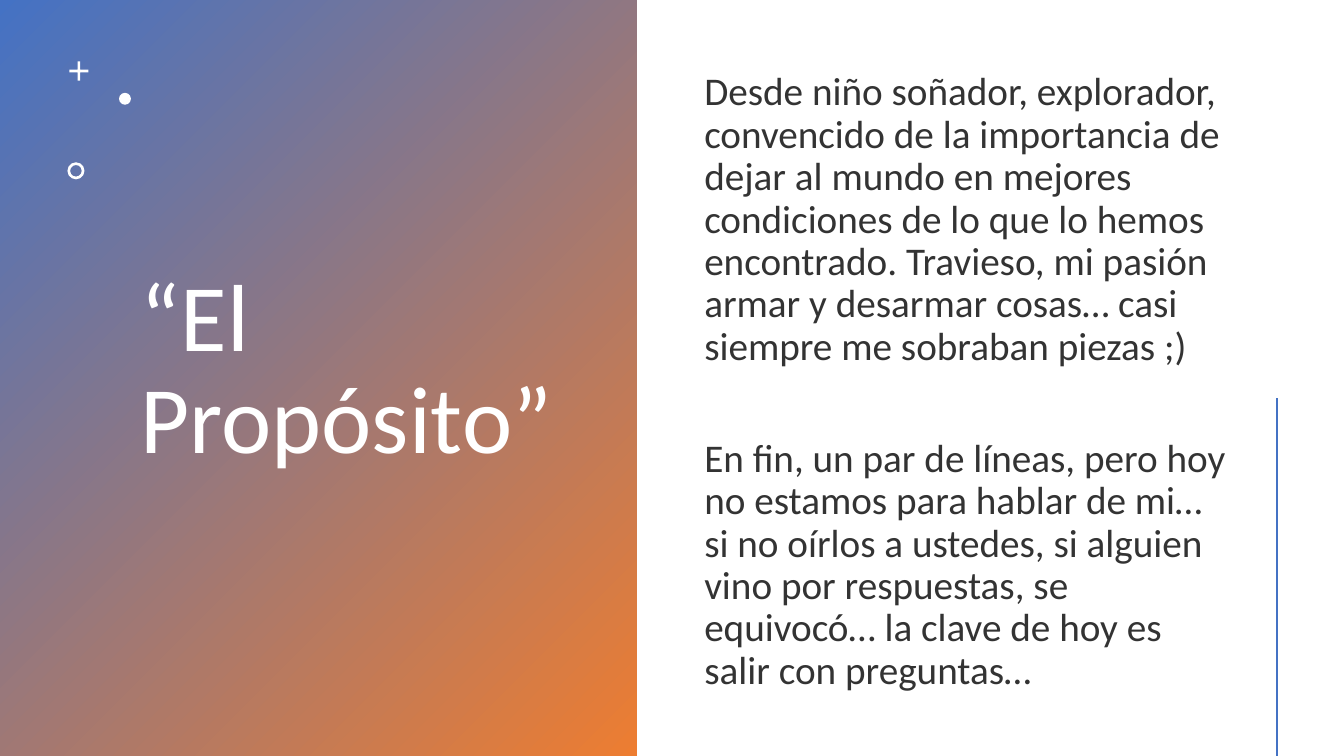
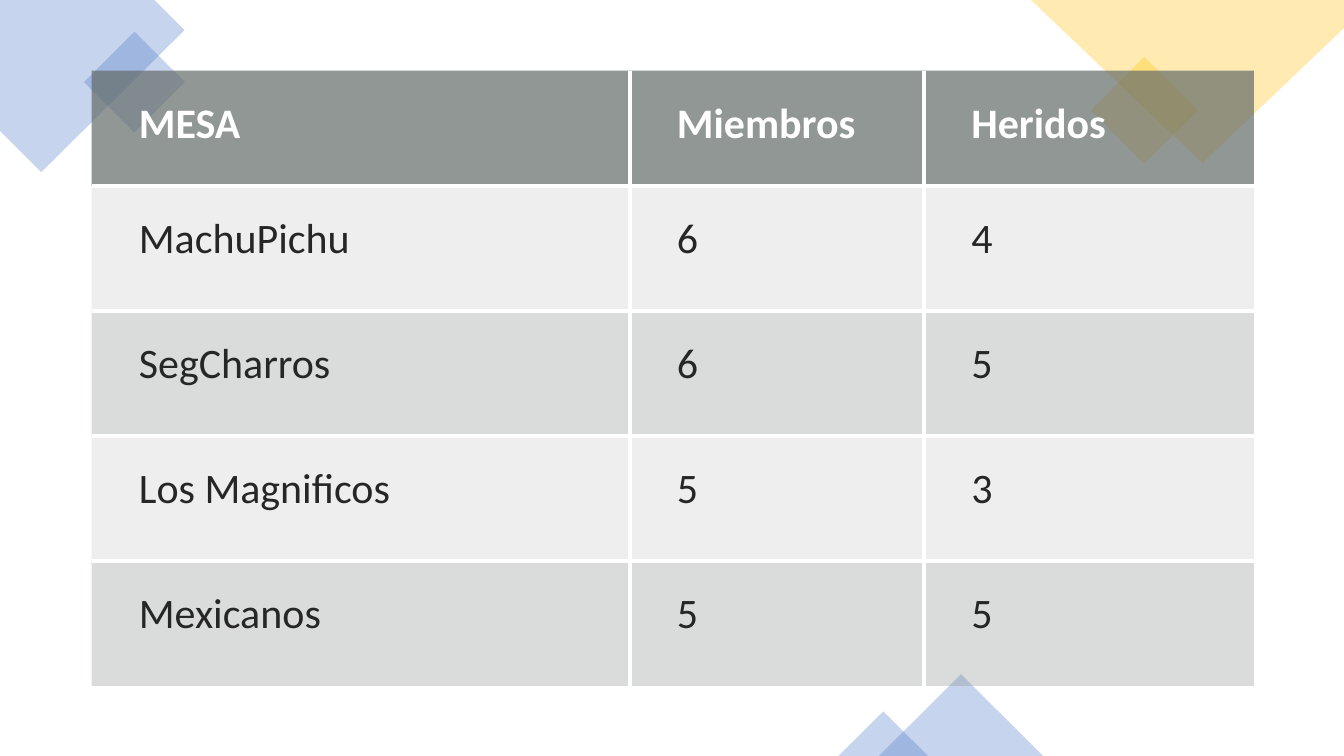
from lxml import etree
from pptx import Presentation
from pptx.dml.color import RGBColor
from pptx.enum.shapes import MSO_CONNECTOR, MSO_SHAPE
from pptx.enum.text import MSO_ANCHOR
from pptx.oxml.ns import qn
from pptx.util import Cm, Pt

RECTANGLE = MSO_SHAPE.RECTANGLE
CROSS = MSO_SHAPE.CROSS
OVAL = MSO_SHAPE.OVAL
DONUT = MSO_SHAPE.DONUT
DIAMOND = MSO_SHAPE.DIAMOND
TRIANGLE = MSO_SHAPE.ISOSCELES_TRIANGLE
STRAIGHT = MSO_CONNECTOR.STRAIGHT
TOP = MSO_ANCHOR.TOP
MIDDLE = MSO_ANCHOR.MIDDLE

FONT = "Calibri"
WHITE, BLUE, ORANGE, YELLOW = "FFFFFF", "4472C4", "ED7D31", "FFC000"
BODY_TEXT, CELL_TEXT = "333333", "262626"
HEADER_FILL, ROW_FILL = "636B68", "878E8B"
PAGE_WIDTH, PAGE_HEIGHT = 33.87, 19.05

TITLE = "“El Propósito”"
BODY = [
    "Desde niño soñador, explorador, convencido de la importancia de dejar al "
    "mundo en mejores condiciones de lo que lo hemos encontrado. Travieso, mi "
    "pasión armar y desarmar cosas… casi siempre me sobraban piezas ;)",
    "En fin, un par de líneas, pero hoy no estamos para hablar de mi… si no "
    "oírlos a ustedes, si alguien vino por respuestas, se equivocó… la clave "
    "de hoy es salir con preguntas…",
]
ORNAMENTS = [
    (CROSS, (1.75, 1.55, 0.48, 0.48), 0.43),
    (OVAL, (3, 2.34, 0.3, 0.3), None),
    (DONUT, (1.7, 4.09, 0.43, 0.43), 0.16),
]
CORNERS = [
    ([(0, 0), (3.89, 0), (4.65, 0.76), (1.04, 4.34), (0, 3.3)], BLUE),
    ([(PAGE_WIDTH, 0), (25.98, 0), (30.3, 4.11), (PAGE_WIDTH, 0.71)], YELLOW),
]
ACCENTS = [
    (DIAMOND, (2.12, 0.8, 2.54, 2.54), BLUE),
    (DIAMOND, (27.49, 1.43, 2.7, 2.7), YELLOW),
    (TRIANGLE, (22.15, 16.99, 4.14, 2.06), BLUE),
    (TRIANGLE, (21.13, 17.93, 2.26, 1.12), BLUE),
]
ACCENT_OPACITY = 30
TABLE_ROWS = [
    ("MESA", "Miembros", "Heridos"),
    ("MachuPichu", "6", "4"),
    ("SegCharros", "6", "5"),
    ("Los Magnificos", "5", "3"),
    ("Mexicanos", "5", "5"),
]
TABLE_LEFT, TABLE_TOP = 2.31, 1.78
COLUMN_WIDTHS = [13.56, 7.42, 8.31]
ROW_HEIGHTS = [2.9] + [3.15] * (len(TABLE_ROWS) - 1)
CELL_INDENT, CELL_MARGIN = 1.19, 0.71


def color(value):
    return RGBColor.from_string(value)


def paint(fill, value, opacity=100):
    fill.solid()
    fill.fore_color.rgb = color(value)
    if opacity < 100:
        tint = fill._xPr.find(qn("a:solidFill"))[0]
        etree.SubElement(tint, qn("a:alpha"), val=str(opacity * 1000))


def finish(shape, value, opacity=100):
    shape.shadow.inherit = False
    shape.line.fill.background()
    paint(shape.fill, value, opacity)


def add_preset(page, kind, place, value, opacity=100, adjustment=None):
    shape = page.shapes.add_shape(kind, *map(Cm, place))
    finish(shape, value, opacity)
    if adjustment is not None:
        shape.adjustments[0] = adjustment
    return shape


def add_outline(page, points, value, opacity):
    corners = [(Cm(x), Cm(y)) for x, y in points]
    builder = page.shapes.build_freeform(*corners[0], scale=1.0)
    builder.add_line_segments(corners[1:], close=True)
    finish(builder.convert_to_shape(), value, opacity)


def write(frame, texts, size, value, bold=False, spacing=1.0, gap=0, anchor=TOP):
    frame.word_wrap = True
    frame.vertical_anchor = anchor
    for index, text in enumerate(texts):
        para = frame.add_paragraph() if index else frame.paragraphs[0]
        para.line_spacing = spacing
        para.space_before = Pt(gap if index else 0)
        span = para.add_run()
        span.text = text
        span.font.name = FONT
        span.font.size = Pt(size)
        span.font.bold = bold
        span.font.color.rgb = color(value)


def add_text(page, place, texts, **style):
    box = page.shapes.add_textbox(*map(Cm, place))
    write(box.text_frame, texts, anchor=MIDDLE, spacing=0.9, **style)


def set_borders(cell, visible):
    properties = cell._tc.get_or_add_tcPr()
    for index, side in enumerate(("L", "R", "T", "B")):
        line = etree.Element(qn("a:ln" + side), w=str(Pt(3)))
        if side in visible:
            solid = etree.SubElement(line, qn("a:solidFill"))
            etree.SubElement(solid, qn("a:srgbClr"), val=WHITE)
        else:
            etree.SubElement(line, qn("a:noFill"))
        properties.insert(index, line)


def add_score_table(page):
    last_row, last_column = len(TABLE_ROWS) - 1, len(COLUMN_WIDTHS) - 1
    place = (TABLE_LEFT, TABLE_TOP, sum(COLUMN_WIDTHS), sum(ROW_HEIGHTS))
    table = page.shapes.add_table(
        last_row + 1, last_column + 1, *map(Cm, place)
    ).table
    table.first_row = False
    table.horz_banding = False
    for column, width in zip(table.columns, COLUMN_WIDTHS):
        column.width = Cm(width)
    for row, height in zip(table.rows, ROW_HEIGHTS):
        row.height = Cm(height)
    for r, texts in enumerate(TABLE_ROWS):
        header = r == 0
        for c, text in enumerate(texts):
            cell = table.cell(r, c)
            cell.margin_left = Cm(CELL_INDENT)
            cell.margin_right = cell.margin_top = cell.margin_bottom = Cm(CELL_MARGIN)
            write(cell.text_frame, [text], size=30, bold=header,
                  value=WHITE if header else CELL_TEXT)
            if header:
                paint(cell.fill, HEADER_FILL, 70)
            else:
                paint(cell.fill, ROW_FILL, 15 if r % 2 else 30)
            inner = {"L": c > 0, "R": c < last_column, "T": r > 0, "B": r < last_row}
            set_borders(cell, [side for side in inner if inner[side]])


def build_purpose(page):
    panel = add_preset(page, RECTANGLE, (0, 0, 16.05, PAGE_HEIGHT), BLUE)
    panel.fill.gradient()
    panel.fill.gradient_angle = 315
    for stop, value in zip(panel.fill.gradient_stops, (BLUE, ORANGE)):
        stop.color.rgb = color(value)
    add_text(page, (3.3, 1.07, 11.13, 16.59), [TITLE], size=68, value=WHITE)
    for kind, place, adjustment in ORNAMENTS:
        add_preset(page, kind, place, WHITE, adjustment=adjustment)
    add_text(page, (17.5, 0.25, 13.77, 18.77), BODY, size=28, value=BODY_TEXT, gap=50)
    rule = page.shapes.add_connector(
        STRAIGHT, *map(Cm, (32.18, 10.03, 32.18, PAGE_HEIGHT))
    )
    rule.line.color.rgb = color(BLUE)
    rule.line.width = Pt(2)
    etree.SubElement(rule._element.spPr, qn("a:effectLst"))


def build_scores(page):
    for points, value in CORNERS:
        add_outline(page, points, value, ACCENT_OPACITY)
    for kind, place, value in ACCENTS:
        add_preset(page, kind, place, value, ACCENT_OPACITY)
    add_score_table(page)


def main():
    deck = Presentation()
    deck.slide_width, deck.slide_height = Cm(PAGE_WIDTH), Cm(PAGE_HEIGHT)
    for build in (build_purpose, build_scores):
        build(deck.slides.add_slide(deck.slide_layouts[6]))
    deck.save("out.pptx")


if __name__ == "__main__":
    main()
